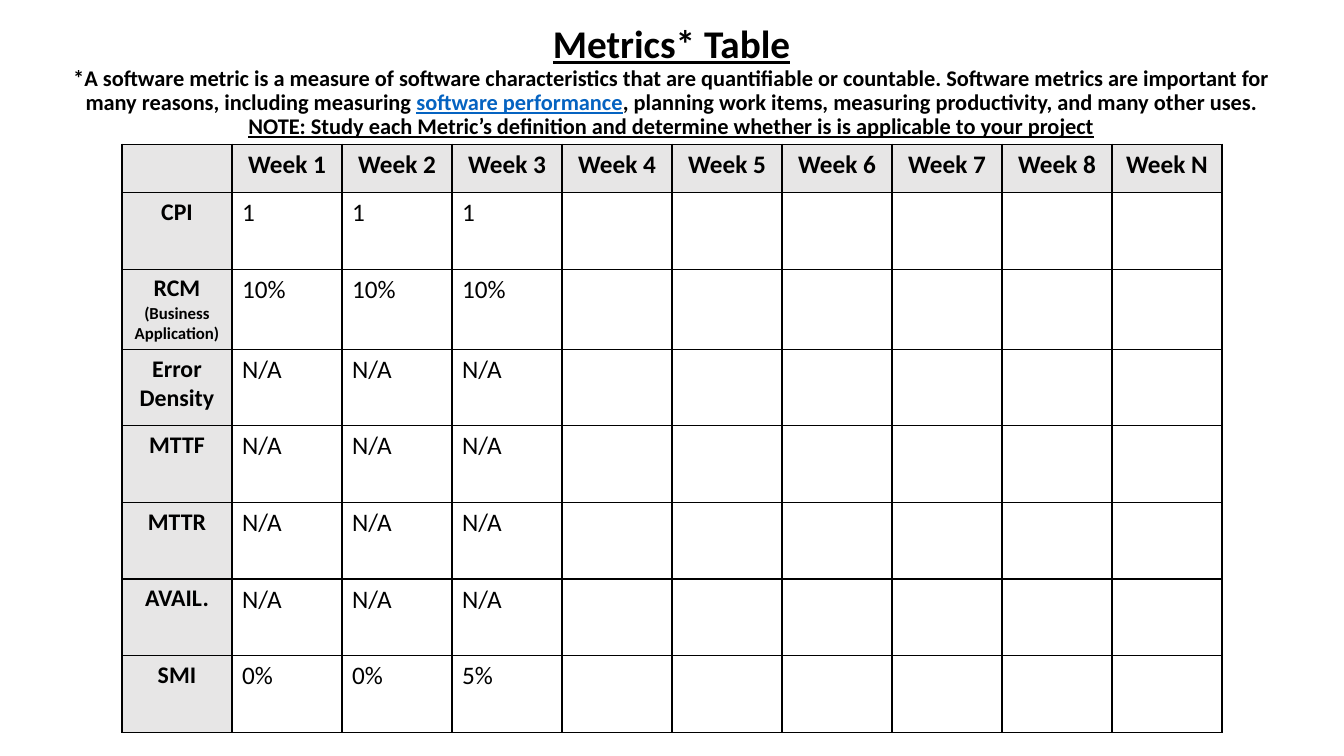
import pptx
import pptx.dml.color
import pptx.enum.text
import pptx.oxml
import pptx.oxml.ns
import pptx.util
from dataclasses import dataclass


@dataclass(frozen=True)
class Theme:
    font: str = "Calibri"
    ink: str = "000000"
    link: str = "0563C1"
    shade: str = "E7E6E6"
    title: int = 28
    note: int = 16
    body: int = 18
    label: int = 17
    detail: int = 12
    border: int = 1


theme = Theme()
inch, pt = pptx.util.Inches, pptx.util.Pt
rgb = pptx.dml.color.RGBColor.from_string
center = pptx.enum.text.PP_ALIGN.CENTER


def add_run(p, text, size, bold=True, underline=False, color=theme.ink):
    r = p.add_run()
    r.text = text
    r.font.name, r.font.size = theme.font, pt(size)
    r.font.bold, r.font.underline = bold, underline
    r.font.color.rgb = rgb(color)


def add_border(cell):
    """Draw a thin line on all four sides; call before setting the fill."""
    tc_pr = cell._tc.get_or_add_tcPr()
    for side in ("lnL", "lnR", "lnT", "lnB"):
        tc_pr.append(pptx.oxml.parse_xml(
            f'<a:{side} {pptx.oxml.ns.nsdecls("a")} w="{pt(theme.border)}">'
            f'<a:solidFill><a:srgbClr val="{theme.ink}"/></a:solidFill></a:{side}>'))


prs = pptx.Presentation()
prs.slide_width, prs.slide_height = inch(13.33), inch(7.5)
s = prs.slides.add_slide(prs.slide_layouts.get_by_name("Title Only"))

# Title and definition
title = s.shapes.title
title.left, title.top, title.width, title.height = map(inch, (0.44, 0.09, 12.44, 1.45))
tf = title.text_frame
tf.word_wrap = True
tf.auto_size = pptx.enum.text.MSO_AUTO_SIZE.NONE
tf.vertical_anchor = pptx.enum.text.MSO_ANCHOR.MIDDLE
p = tf.paragraphs[0]
p.alignment, p.line_spacing = center, 0.9

title_lines = [
    (theme.title, [("Metrics* Table", True, theme.ink)]),
    (theme.note, [
        ("*A software metric is a measure of software characteristics that are "
         "quantifiable or countable. Software metrics are important for many "
         "reasons, including measuring ", False, theme.ink),
        ("software performance", True, theme.link),
        (", planning work items, measuring productivity, and many other uses.",
         False, theme.ink)]),
    (theme.note, [
        ("NOTE: Study each Metric’s definition and determine whether is is "
         "applicable to your project", True, theme.ink)]),
]
for i, (size, runs) in enumerate(title_lines):
    if i:
        p.add_line_break()
        p._p[-1].append(pptx.oxml.parse_xml(
            f'<a:rPr {pptx.oxml.ns.nsdecls("a")} sz="{size * 100}"/>'))
    for text, underline, color in runs:
        add_run(p, text, size, underline=underline, color=color)

# Weekly metrics
weeks = [f"Week {n}" for n in (*range(1, 9), "N")]
metrics = [
    ("CPI", "", ["1", "1", "1"]),
    ("RCM", "(Business Application)", ["10%", "10%", "10%"]),
    ("Error Density", "", ["N/A"] * 3),
    ("MTTF", "", ["N/A"] * 3),
    ("MTTR", "", ["N/A"] * 3),
    ("AVAIL.", "", ["N/A"] * 3),
    ("SMI", "", ["0%", "0%", "5%"]),
]
table = s.shapes.add_table(len(metrics) + 1, len(weeks) + 1,
                           inch(1.21), inch(1.43), inch(10.91), inch(5.8)).table
table.first_row = table.horz_banding = False
for i, row in enumerate(table.rows):
    row.height = inch(0.76 if i else 0.48)
    for j, cell in enumerate(row.cells):
        add_border(cell)
        if i == 0 or j == 0:
            cell.fill.solid()
            cell.fill.fore_color.rgb = rgb(theme.shade)
        else:
            cell.fill.background()

for j, week in enumerate(weeks, 1):
    p = table.cell(0, j).text_frame.paragraphs[0]
    p.alignment = center
    add_run(p, week, theme.body)

for i, (name, detail, values) in enumerate(metrics, 1):
    tf = table.cell(i, 0).text_frame
    p = tf.paragraphs[0]
    p.alignment = center
    add_run(p, name, theme.label)
    if detail:
        p = tf.add_paragraph()
        p.alignment = center
        add_run(p, detail, theme.detail)
    for j, value in enumerate(values, 1):
        add_run(table.cell(i, j).text_frame.paragraphs[0], value, theme.body, bold=False)

prs.save("out.pptx")
